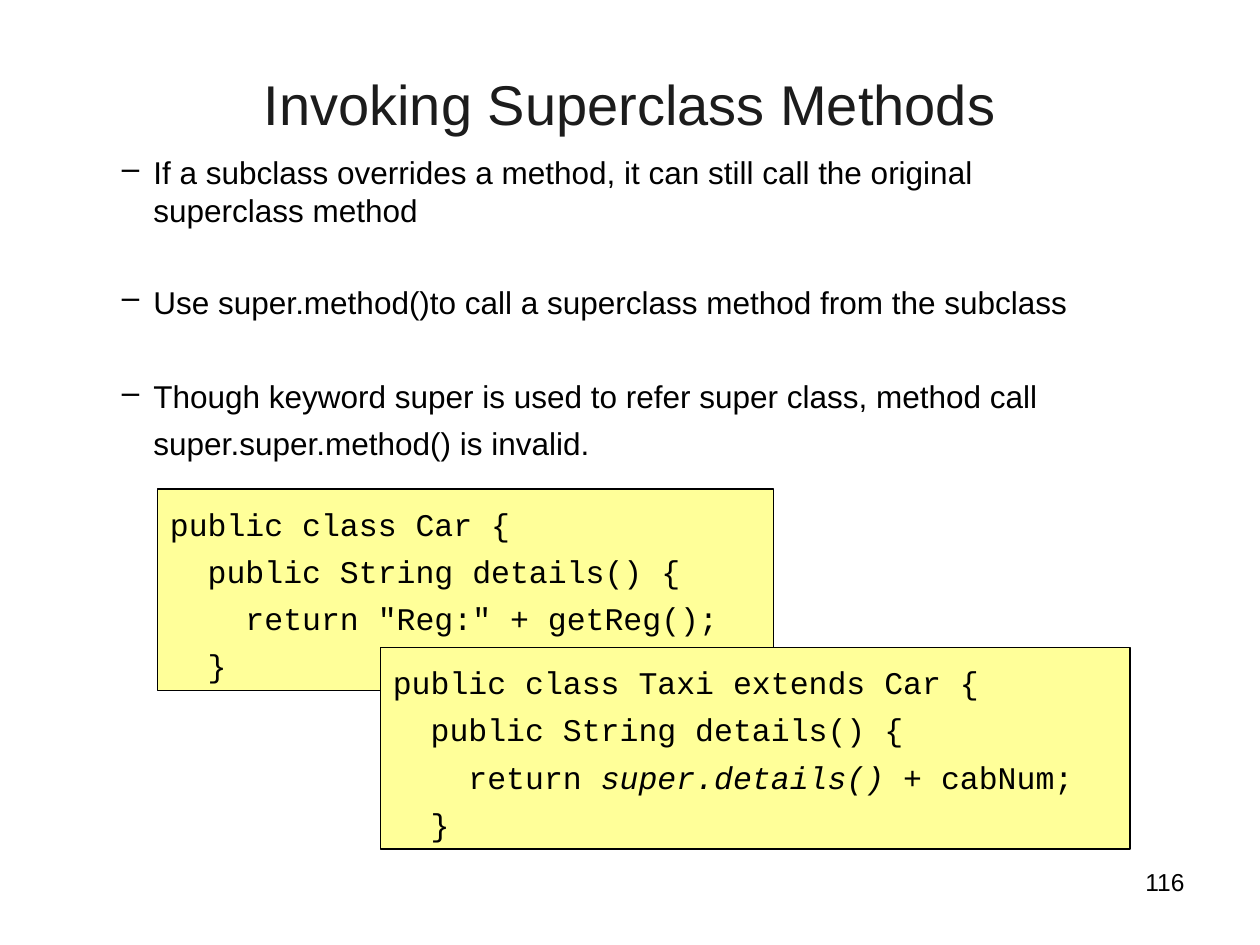
from dataclasses import dataclass

from lxml import etree
from pptx import Presentation
from pptx.dml.color import RGBColor
from pptx.enum.shapes import MSO_SHAPE
from pptx.enum.text import MSO_ANCHOR, PP_ALIGN
from pptx.oxml.ns import qn
from pptx.util import Pt

RECT = MSO_SHAPE.RECTANGLE
TOP = MSO_ANCHOR.TOP
LEFT, CENTER, RIGHT = PP_ALIGN.LEFT, PP_ALIGN.CENTER, PP_ALIGN.RIGHT

BLACK = RGBColor(0x00, 0x00, 0x00)
GRAY = RGBColor(0x1C, 0x1C, 0x1C)
YELLOW = RGBColor(0xFF, 0xFF, 0x99)
SANS, MONO = "Arial", "Courier New"


@dataclass
class Box:
    left: float
    top: float
    width: float
    height: float

    def place(self) -> tuple:
        return tuple(Pt(n) for n in (self.left, self.top, self.width, self.height))


@dataclass
class Point:
    text: str
    pitch: float
    before: float = 0


@dataclass
class Code:
    box: Box
    lines: list  # each line is a list of (text, italic) parts


def write(para, text, *, size=18, font=SANS, color=BLACK, italic=False,
          align=LEFT, pitch=None, before=0) -> None:
    """Add one run to a paragraph, with its format."""
    para.alignment = align
    para.space_before = Pt(before)
    if pitch:
        para.line_spacing = Pt(pitch)
    run = para.add_run()
    run.text = text
    run.font.size = Pt(size)
    run.font.name = font
    run.font.italic = italic
    run.font.color.rgb = color


def add_dash(para) -> None:
    """Give a paragraph a hanging dash."""
    props = para._p.get_or_add_pPr()
    props.set("marL", str(int(Pt(26.64))))
    props.set("indent", str(int(Pt(-18))))
    tint = etree.SubElement(props, qn("a:buClr"))
    etree.SubElement(tint, qn("a:srgbClr"), val=str(BLACK))
    etree.SubElement(props, qn("a:buChar"), char="–")


def set_frame(shape):
    frame = shape.text_frame
    frame.word_wrap = True
    frame.vertical_anchor = TOP
    return frame


def add_text(slide, box: Box):
    return set_frame(slide.shapes.add_textbox(*box.place()))


def next_para(frame, index: int):
    return frame.add_paragraph() if index else frame.paragraphs[0]


def draw_points(slide, box: Box, points: list) -> None:
    frame = add_text(slide, box)
    for i, point in enumerate(points):
        para = next_para(frame, i)
        add_dash(para)
        write(para, point.text, pitch=point.pitch, before=point.before)


def draw_code(slide, code: Code) -> None:
    shape = slide.shapes.add_shape(RECT, *code.box.place())
    shape.shadow.inherit = False
    shape.fill.solid()
    shape.fill.fore_color.rgb = YELLOW
    shape.line.color.rgb = BLACK
    shape.line.width = Pt(1)
    frame = set_frame(shape)
    for i, line in enumerate(code.lines):
        para = next_para(frame, i)
        for text, italic in line:
            write(para, text, font=MONO, italic=italic, pitch=27)


POINTS = [
    Point("If a subclass overrides a method, it can still call the original "
          "superclass method", 21.6),
    Point("Use super.method()to call a superclass method from the subclass",
          21.6, 30.6),
    Point("Though keyword super is used to refer super class, method call "
          "super.super.method() is invalid.", 27, 26.7),
]

DETAILS = [("  public String details() {", False)]
CLOSE = [("  }", False)]
CODES = [
    Code(Box(90, 279.4, 352, 115.2), [
        [("public class Car {", False)],
        DETAILS,
        [('    return "Reg:" + getReg();', False)],
        CLOSE,
    ]),
    Code(Box(217.4, 370, 428.4, 115.2), [
        [("public class Taxi extends Car {", False)],
        DETAILS,
        [("    return ", False), ("super.details() ", True), ("+ cabNum;", False)],
        CLOSE,
    ]),
]


def main() -> None:
    deck = Presentation()
    deck.slide_width, deck.slide_height = Pt(720), Pt(540)
    slide = deck.slides.add_slide(deck.slide_layouts[6])

    # Page number
    page = add_text(slide, Box(516.2, 491.8, 167.8, 37.4))
    write(page.paragraphs[0], "116", size=14, align=RIGHT)

    # Title
    title = add_text(slide, Box(54, 36, 612, 90))
    write(title.paragraphs[0], "Invoking Superclass Methods",
          size=32, color=GRAY, align=CENTER)

    # Points
    draw_points(slide, Box(54, 84.2, 593.3, 266.4), POINTS)

    # Code boxes, the second over the first
    for code in CODES:
        draw_code(slide, code)

    deck.save("out.pptx")


if __name__ == "__main__":
    main()
